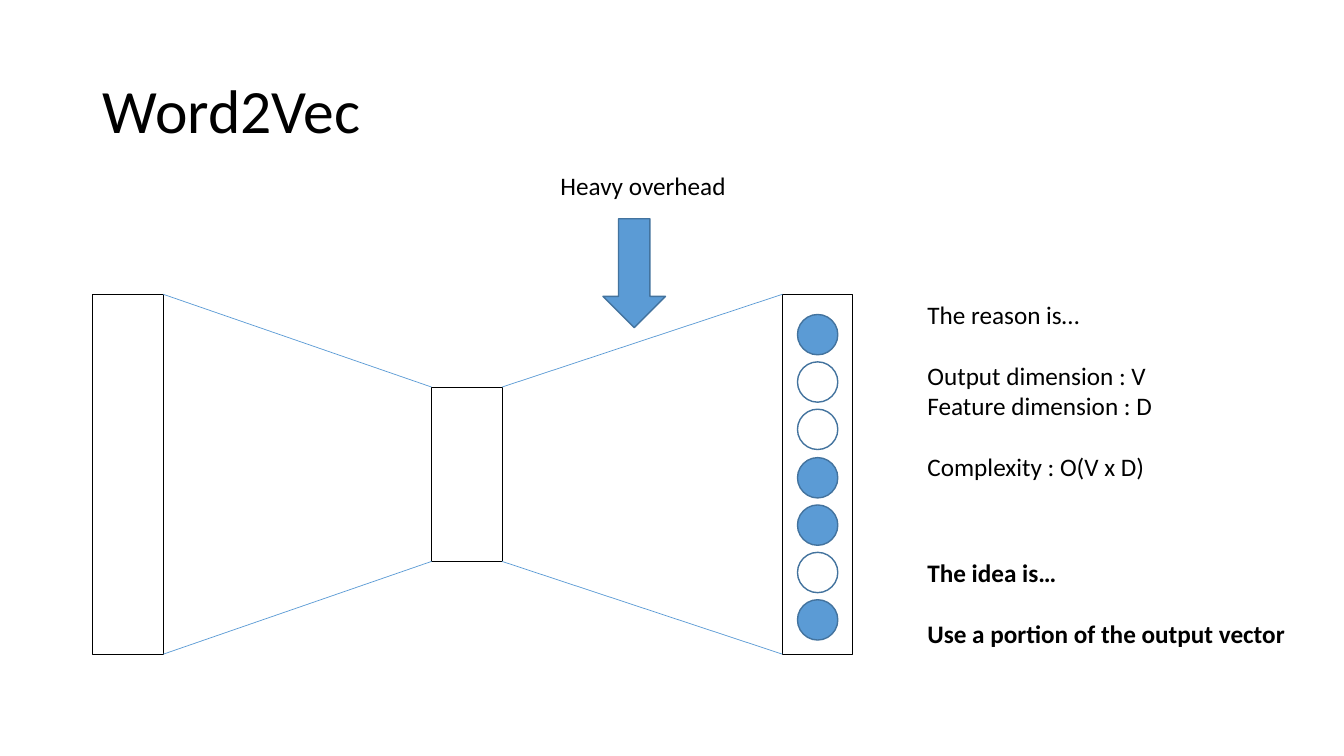
"""Build the Word2Vec slide on the cost of a wide output layer."""
from dataclasses import dataclass

import pptx
import pptx.dml.color
import pptx.enum.shapes
import pptx.enum.text
import pptx.oxml
import pptx.oxml.ns
import pptx.util

PX = 9144
BLACK, BLUE, EDGE = "000000", "5B9BD5", "43739E"
KIND = pptx.enum.shapes.MSO_SHAPE
FIT = pptx.enum.text.MSO_AUTO_SIZE


@dataclass
class Box:
    left: int
    top: int
    width: int
    height: int

    @property
    def right(self) -> int:
        return self.left + self.width

    @property
    def base(self) -> int:
        return self.top + self.height

    def scale(self) -> list[int]:
        return [n * PX for n in (self.left, self.top, self.width, self.height)]


@dataclass
class Line:
    text: str
    gap: int = 0


@dataclass
class Note:
    box: Box
    lines: list[Line]
    bold: bool = False
    wrap: bool = True


def tint(code: str) -> pptx.dml.color.RGBColor:
    return pptx.dml.color.RGBColor.from_string(code)


def write(para, text: str, size: int = 18, bold: bool = False, gap: int = 0) -> None:
    run = para.add_run()
    run.text = text
    run.font.name = "Calibri"
    run.font.size = pptx.util.Pt(size)
    run.font.bold = bold
    run.font.color.rgb = tint(BLACK)
    para.alignment = pptx.enum.text.PP_ALIGN.LEFT
    if gap:
        para.space_before = pptx.util.Pt(gap)


def draw(slide, kind: KIND, box: Box, fill: str = "", line: str = EDGE,
         width: float = 1) -> None:
    shape = slide.shapes.add_shape(kind, *box.scale())
    shape.shadow.inherit = False
    if fill:
        shape.fill.solid()
        shape.fill.fore_color.rgb = tint(fill)
    else:
        shape.fill.background()
    shape.line.color.rgb = tint(line)
    shape.line.width = pptx.util.Pt(width)


def link(slide, left: Box, right: Box) -> None:
    for start, end in ((left.top, right.top), (left.base, right.base)):
        line = slide.shapes.add_connector(
            pptx.enum.shapes.MSO_CONNECTOR.STRAIGHT,
            left.right * PX, start * PX, right.left * PX, end * PX)
        line.line.color.rgb = tint(BLUE)
        line.line.width = pptx.util.Pt(0.5)
        line._element.spPr.append(pptx.oxml.parse_xml(
            f"<a:effectLst {pptx.oxml.ns.nsdecls('a')}/>"))


def place(slide, note: Note) -> None:
    frame = slide.shapes.add_textbox(*note.box.scale()).text_frame
    frame.word_wrap = note.wrap
    frame.auto_size = FIT.SHAPE_TO_FIT_TEXT
    for i, line in enumerate(note.lines):
        para = frame.add_paragraph() if i else frame.paragraphs[0]
        write(para, line.text, bold=note.bold, gap=line.gap)


def main() -> None:
    deck = pptx.Presentation()
    deck.slide_width, deck.slide_height = pptx.util.Inches(13.33), pptx.util.Inches(7.5)
    slide = deck.slides.add_slide(deck.slide_layouts[5])

    title = slide.shapes.title
    title.left, title.top, title.width, title.height = Box(92, 40, 1150, 145).scale()
    title.text_frame.vertical_anchor = pptx.enum.text.MSO_ANCHOR.MIDDLE
    head = title.text_frame.paragraphs[0]
    head.line_spacing = 0.9
    write(head, "Word2Vec", size=44)

    layers = [Box(92, 292, 70, 357), Box(428, 384, 70, 173), Box(776, 292, 70, 357)]
    for layer in layers:
        draw(slide, KIND.RECTANGLE, layer, line=BLACK, width=0.75)
    for left, right in zip(layers, layers[1:]):
        link(slide, left, right)

    draw(slide, KIND.DOWN_ARROW, Box(598, 217, 62, 108), fill=BLUE)

    active = [True, False, False, True, True, False, True]
    for i, lit in enumerate(active):
        node = Box(791, 312 + round(i * 47.2), 40, 40)
        draw(slide, KIND.OVAL, node, fill=BLUE if lit else "")

    notes = [
        Note(Box(546, 164, 186, 40), [Line("Heavy overhead")], wrap=False),
        Note(Box(910, 292, 362, 192), [
            Line("The reason is…"),
            Line("Output dimension : V", gap=22),
            Line("Feature dimension : D"),
            Line("Complexity : O(V x D)", gap=22)]),
        Note(Box(910, 548, 380, 101), [
            Line("The idea is…"),
            Line("Use a portion of the output vector", gap=22)], bold=True),
    ]
    for note in notes:
        place(slide, note)

    deck.save("out.pptx")


if __name__ == "__main__":
    main()
